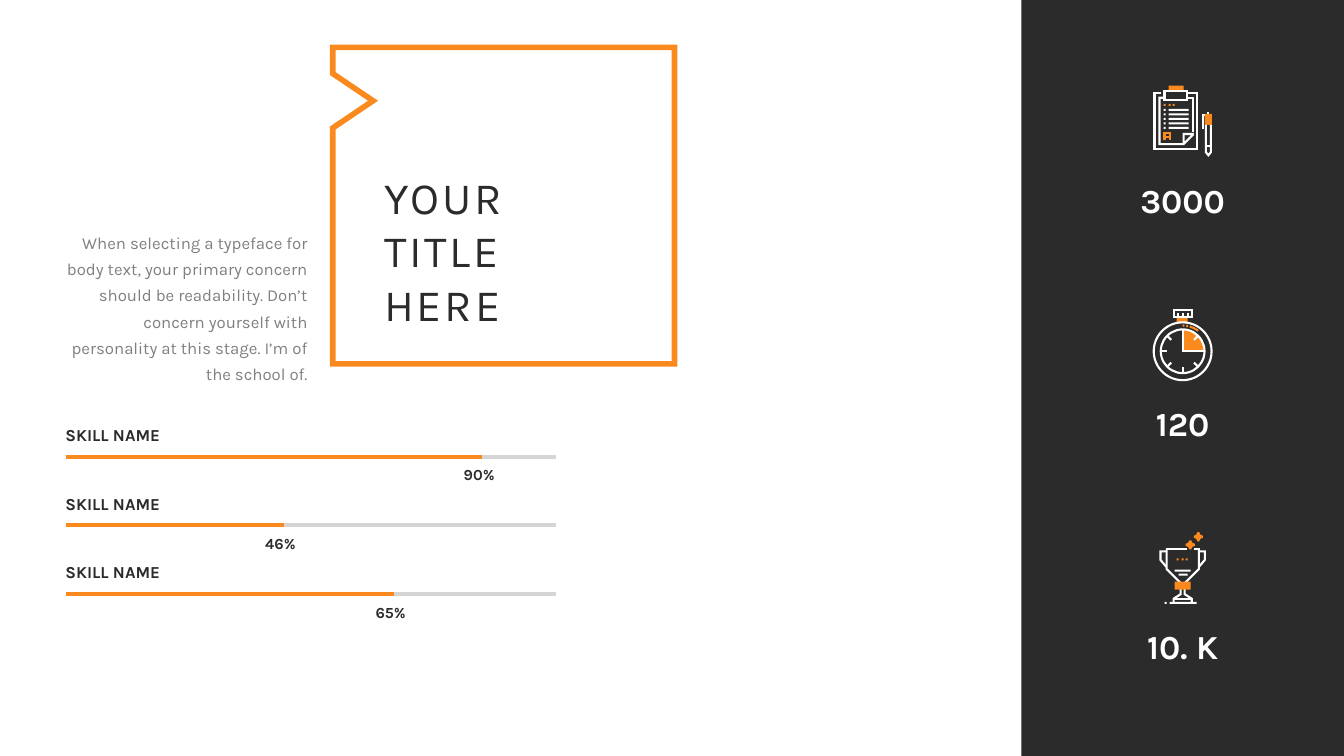
import math

import pptx
import pptx.dml.color
import pptx.enum.shapes
import pptx.enum.text
import pptx.oxml.ns
import pptx.util
from lxml import etree

DARK = pptx.dml.color.RGBColor(0x2B, 0x2B, 0x2B)
ORANGE = pptx.dml.color.RGBColor(0xFA, 0x89, 0x1E)
WHITE = pptx.dml.color.RGBColor(0xFF, 0xFF, 0xFF)
GRAY = pptx.dml.color.RGBColor(0x80, 0x80, 0x80)
TRACK = pptx.dml.color.RGBColor(0xD5, 0xD5, 0xD5)
FONT = "Karla"
WIDTH, HEIGHT = 13.33, 7.5
ALIGN = pptx.enum.text.PP_ALIGN
SHAPE = pptx.enum.shapes.MSO_SHAPE
SKILLS = [("90%", 0.85), ("46%", 0.445), ("65%", 0.67)]


def inches(*lengths):
    return [pptx.util.Inches(length) for length in lengths]


def add_line_element(parent, name):
    return etree.SubElement(parent, pptx.oxml.ns.qn(name))


def fill_text(shape, text, size, color, bold=False, align=ALIGN.LEFT, spacing=0.9, tracking=0):
    """Write one styled paragraph; tracking is in hundredths of a point."""
    frame = shape.text_frame
    frame.word_wrap = True
    frame.auto_size = pptx.enum.text.MSO_AUTO_SIZE.NONE
    frame.vertical_anchor = pptx.enum.text.MSO_ANCHOR.TOP
    frame.text = text
    paragraph = frame.paragraphs[0]
    paragraph.alignment = align
    paragraph.line_spacing = spacing
    font = paragraph.font
    font.name, font.size, font.bold = FONT, pptx.util.Pt(size), bold
    font.color.rgb = color
    if tracking:
        for run in paragraph.runs:
            run._r.get_or_add_rPr().set("spc", str(tracking))


def add_text(slide, box, text, size, color, **style):
    fill_text(slide.shapes.add_textbox(*inches(*box)), text, size, color, **style)


def add_line(slide, start, end, color, weight):
    line = slide.shapes.add_connector(
        pptx.enum.shapes.MSO_CONNECTOR.STRAIGHT, *inches(*start, *end))
    line.line.color.rgb = color
    line.line.width = pptx.util.Pt(weight)
    add_line_element(line._element.spPr, "a:effectLst")


def paint(shape, fill=None, line=None, weight=1.5):
    shape.shadow.inherit = False
    if fill is None:
        shape.fill.background()
    else:
        shape.fill.solid()
        shape.fill.fore_color.rgb = fill
    if line is None:
        shape.line.fill.background()
    else:
        shape.line.color.rgb = line
        shape.line.width = pptx.util.Pt(weight)
        add_line_element(shape.line._get_or_add_ln(), "a:miter").set("lim", "800000")


def add_outline(slide, points, close=False, **colors):
    corners = [inches(*point) for point in points]
    builder = slide.shapes.build_freeform(*corners[0])
    builder.add_line_segments(corners[1:], close=close)
    paint(builder.convert_to_shape(), **colors)


class Icon:
    """Draws in hundredths of an inch from the corner of its box."""

    def __init__(self, slide, left, top):
        self.slide, self.left, self.top = slide, left, top

    def place(self, points):
        return [(self.left + x / 100, self.top + y / 100) for x, y in points]

    def bar(self, x, y, width, height, color=WHITE):
        corner = self.place([(x, y)])[0]
        shape = self.slide.shapes.add_shape(
            SHAPE.RECTANGLE, *inches(*corner, width / 100, height / 100))
        paint(shape, fill=color)

    def stroke(self, *points, close=False, color=WHITE):
        add_outline(self.slide, self.place(points), close, line=color)

    def mirrored(self, *points):
        self.stroke(*points)
        self.stroke(*[(60 - x, y) for x, y in points])

    def solid(self, points):
        add_outline(self.slide, self.place(points), True, fill=ORANGE)

    def ring(self, x, y, radius):
        corner = self.place([(x - radius, y - radius)])[0]
        shape = self.slide.shapes.add_shape(
            SHAPE.OVAL, *inches(*corner, radius / 50, radius / 50))
        paint(shape, line=WHITE)


def draw_clipboard(icon):
    icon.bar(16, 0, 15, 5, ORANGE)
    for x in (11, 16, 20):
        icon.bar(x, 18, 2, 2, ORANGE)
    for row in range(5):
        icon.bar(11, 23 + 4.5 * row, 2, 2)
        icon.bar(16, 23 + 4.5 * row, 20, 2)
    icon.stroke((12, 54), (12, 47), (17, 47), (17, 54), color=ORANGE)
    icon.stroke((12, 51), (17, 51), color=ORANGE)
    icon.stroke((9, 7), (2, 7), (2, 63), (44, 63), (44, 7), (35, 7))
    icon.stroke((11, 12), (7, 12), (7, 58), (31, 58), (40, 49), (40, 48), (31, 48), (31, 58))
    icon.stroke((40, 46), (40, 12), (35, 12))
    icon.stroke((12, 5), (34, 5), (34, 14), (12, 14), close=True)
    icon.stroke((50, 43), (50, 29), (55, 29), (55, 26))
    icon.stroke((53, 30), (58, 30), (58, 66), (55.5, 69), (53, 66), close=True)
    icon.stroke((53, 60), (58, 60))
    icon.bar(52, 28, 7, 11, ORANGE)


def draw_stopwatch(icon):
    def on_dial(radius, degrees):
        angle = math.radians(degrees)
        return 30 + radius * math.sin(angle), 42 + radius * -math.cos(angle)

    icon.solid([(30, 42)] + [on_dial(22, degrees) for degrees in range(0, 91, 6)])
    icon.bar(24, 7, 11, 7, ORANGE)
    for first, last in [(0, 4), (8, 12), (16, 37)]:
        middle = (first + last) / 2
        icon.stroke(*[on_dial(25.5, degrees) for degrees in (first, middle, last)], color=ORANGE)
    icon.stroke((21, 1), (39, 1), (39, 8), (21, 8), close=True)
    for x in (25, 30, 35):
        icon.stroke((x, 4), (x, 7))
    icon.ring(30, 42, 28.7)
    icon.ring(30, 42, 21.7)
    for degrees in range(0, 360, 45):
        icon.stroke(on_dial(16, degrees), on_dial(21, degrees))
    icon.stroke((30, 23), (30, 42), (49, 42))


def draw_trophy(icon):
    icon.mirrored((14, 17), (14, 36.5), (27.5, 50))
    icon.stroke((13, 17), (34, 17))
    icon.stroke((41, 17), (47, 17))
    icon.mirrored((14, 19), (8, 19), (8, 27.5), (14, 34.5))
    for x in (24, 29, 33):
        icon.bar(x, 26, 2, 2, ORANGE)
    icon.bar(22, 37, 16, 2)
    icon.bar(26, 41, 9, 2)
    icon.mirrored((28, 56), (28, 61.5), (21, 66), (21, 70))
    icon.stroke((21, 66), (39, 66))
    icon.bar(22, 49, 16, 8, ORANGE)
    icon.bar(17, 69, 27, 2)
    icon.bar(12, 69, 2, 2)
    for x, y in [(37.5, 12.5), (45.5, 4.5)]:
        star, arm = [], [(-1, -4.5), (1, -4.5), (2.1, -2.1)]
        for _ in range(4):
            star += [(x + dx, y + dy) for dx, dy in arm]
            arm = [(-dy, dx) for dx, dy in arm]
        icon.solid(star)


def add_figures_panel(slide, left, width):
    panel = slide.shapes.add_shape(SHAPE.RECTANGLE, *inches(left, 0, width, HEIGHT))
    paint(panel, fill=DARK)
    figures = [("3000", draw_clipboard), ("120", draw_stopwatch), ("10. K", draw_trophy)]
    center = left + width / 2
    for row, (number, draw) in enumerate(figures):
        top = 0.85 + 2.215 * row
        draw(Icon(slide, center - 0.3, top))
        add_text(slide, (center - 1.14, top + 0.93, 2.28, 0.44), number, 24, WHITE,
                 bold=True, align=ALIGN.CENTER)


def add_skills(slide, left, top, width, pitch):
    for row, (percent, share) in enumerate(SKILLS):
        y = top + pitch * row
        end = left + width * share
        add_line(slide, (left, y), (left + width, y), TRACK, 3)
        add_line(slide, (left, y), (end, y), ORANGE, 3)
        add_text(slide, (left - 0.1, y - 0.34, 3.35, 0.3), "SKILL NAME", 12, DARK, bold=True)
        add_text(slide, (end - 0.28, y + 0.06, 0.63, 0.3), percent, 11, DARK, bold=True)


def add_title_frame(slide, left, top, width, height):
    right, bottom = left + width, top + height
    notch = [(left, top + 0.8), (left + 0.4, top + 0.53), (left, top + 0.26)]
    corners = [(left, top), (right, top), (right, bottom), (left, bottom)]
    add_outline(slide, corners + notch, True, line=ORANGE, weight=4)
    title = slide.shapes.title
    title.left, title.top, title.width, title.height = inches(left + 0.41, top + 1.16, 1.98, 1.72)
    fill_text(title, "YOUR TITLE HERE", 32, DARK, spacing=1.0, tracking=200)


def main():
    presentation = pptx.Presentation()
    presentation.slide_width, presentation.slide_height = inches(WIDTH, HEIGHT)
    slide = presentation.slides.add_slide(presentation.slide_layouts[5])
    add_figures_panel(slide, 10.13, WIDTH - 10.13)
    add_skills(slide, 0.65, 4.53, 4.86, 0.68)
    add_title_frame(slide, 3.3, 0.47, 3.39, 3.14)
    add_text(slide, (0.54, 2.2, 2.61, 1.41),
             "When selecting a typeface for body text, your primary concern should be "
             "readability. Don’t concern yourself with personality at this stage. "
             "I’m of the school of.", 12, GRAY, align=ALIGN.RIGHT, spacing=1.3)
    presentation.save("out.pptx")


if __name__ == "__main__":
    main()
